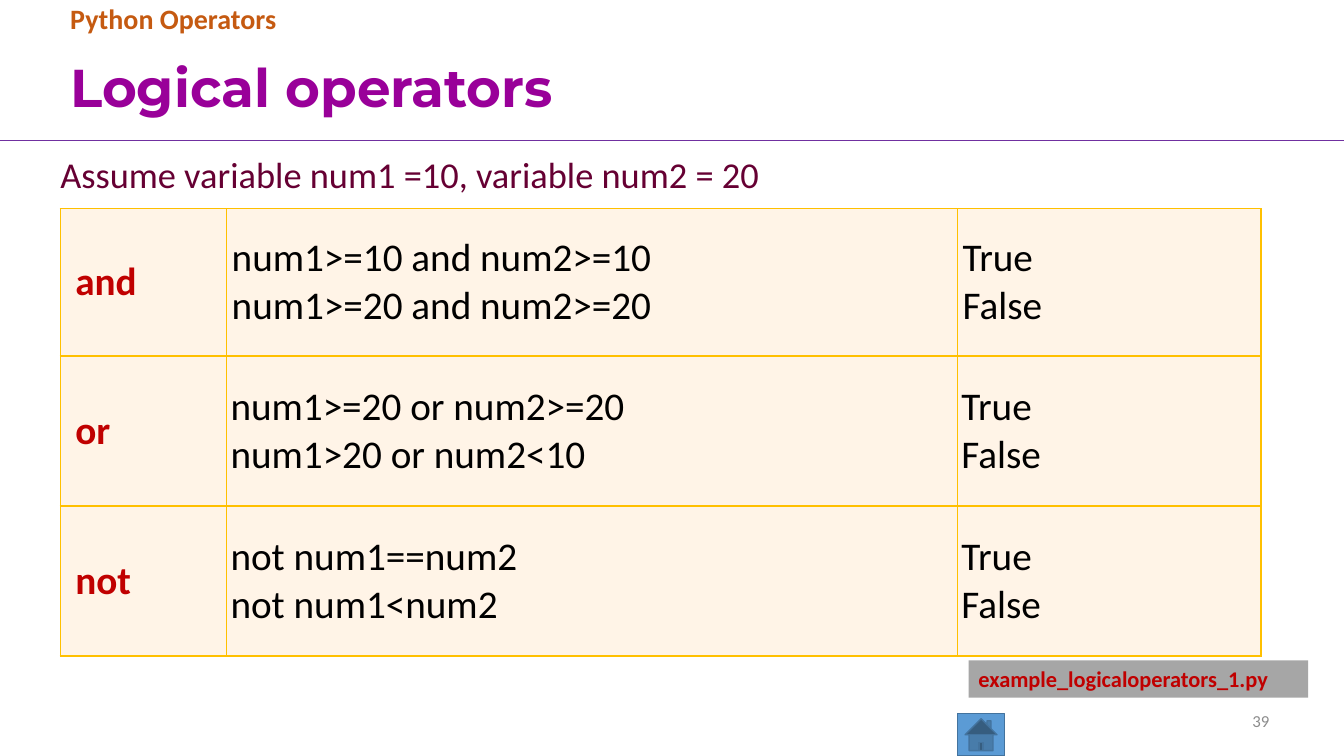
from dataclasses import dataclass
from typing import Optional

from lxml import etree
from pptx import Presentation
from pptx.dml.color import RGBColor
from pptx.enum.shapes import MSO_CONNECTOR, MSO_SHAPE
from pptx.enum.text import MSO_ANCHOR, PP_ALIGN
from pptx.oxml.ns import qn
from pptx.util import Cm, Pt

STRAIGHT = MSO_CONNECTOR.STRAIGHT
HOME_BUTTON, RECTANGLE = MSO_SHAPE.ACTION_BUTTON_HOME, MSO_SHAPE.RECTANGLE
TOP, MIDDLE = MSO_ANCHOR.TOP, MSO_ANCHOR.MIDDLE
LEFT, RIGHT = PP_ALIGN.LEFT, PP_ALIGN.RIGHT

BLACK = RGBColor(0x00, 0x00, 0x00)
MAGENTA = RGBColor(0x99, 0x00, 0x99)
PURPLE = RGBColor(0x70, 0x30, 0xA0)
PLUM = RGBColor(0x66, 0x00, 0x33)
ORANGE = RGBColor(0xC5, 0x5A, 0x11)
RED = RGBColor(0xC0, 0x00, 0x00)
GOLD = RGBColor(0xFF, 0xC0, 0x00)
CREAM = RGBColor(0xFF, 0xF4, 0xE7)
GRAY = RGBColor(0xA6, 0xA6, 0xA6)
NUMBER_GRAY = RGBColor(0x8C, 0x8C, 0x8C)
BLUE = RGBColor(0x5B, 0x9B, 0xD5)
DARK_BLUE = RGBColor(0x43, 0x73, 0x9E)

PAGE_WIDTH, PAGE_HEIGHT = 33.87, 19.05
COLUMN_WIDTHS = (4.19, 18.42, 7.65)


@dataclass(frozen=True)
class Label:
    text: str
    area: tuple[float, float, float, float]
    size: float
    color: RGBColor
    bold: bool = False
    font: str = "Calibri"
    align: PP_ALIGN = LEFT
    anchor: MSO_ANCHOR = TOP
    line_spacing: float = 1.0
    wrap: bool = True
    fill: Optional[RGBColor] = None


@dataclass(frozen=True)
class Operator:
    name: str
    examples: str
    results: str
    height: float
    margins: tuple[float, float]  # horizontal and vertical, for examples and results


LABELS = (
    Label("Logical operators", (1.52, 1.04, 30.71, 2.46), 38, MAGENTA, bold=True,
          font="Montserrat", anchor=MIDDLE, line_spacing=0.9),
    Label("39", (23.93, 17.65, 8.31, 1.02), 12, NUMBER_GRAY, align=RIGHT, anchor=MIDDLE),
    Label("Python Operators", (1.52, 0, 26.26, 1.04), 20, ORANGE, bold=True, line_spacing=0.9),
    Label("Assume variable num1 =10, variable num2 = 20", (1.27, 3.71, 18.29, 1.37), 26, PLUM,
          wrap=False),
    Label("example_logicaloperators_1.py", (24.41, 16.64, 8.56, 0.94), 16, RED, bold=True,
          fill=GRAY),
)

OPERATORS = (
    Operator("and", "num1>=10 and num2>=10\nnum1>=20 and num2>=20", "True\nFalse", 3.71,
             (0.13, 0.05)),
    Operator("or", "num1>=20 or num2>=20\nnum1>20 or num2<10", "True\nFalse", 3.78, (0.1, 0.1)),
    Operator("not", "not num1==num2\nnot num1<num2", "True\nFalse", 3.78, (0.1, 0.1)),
)


def write_text(frame, text: str, *, size: float, color: RGBColor, bold: bool = False,
               font: str = "Calibri", align: PP_ALIGN = LEFT, line_spacing: float = 1.0) -> None:
    for index, line in enumerate(text.split("\n")):
        para = frame.add_paragraph() if index else frame.paragraphs[0]
        para.alignment = align
        para.line_spacing = line_spacing
        span = para.add_run()
        span.text = line
        span.font.name = font
        span.font.size = Pt(size)
        span.font.bold = bold
        span.font.color.rgb = color


def add_label(page, label: Label) -> None:
    area = [Cm(length) for length in label.area]
    if label.fill is None:
        box = page.shapes.add_textbox(*area)
    else:
        box = page.shapes.add_shape(RECTANGLE, *area)
        box.shadow.inherit = False
        box.fill.solid()
        box.fill.fore_color.rgb = label.fill
        box.line.fill.background()
    frame = box.text_frame
    frame.word_wrap = label.wrap
    frame.vertical_anchor = label.anchor
    write_text(frame, label.text, size=label.size, color=label.color, bold=label.bold,
               font=label.font, align=label.align, line_spacing=label.line_spacing)


def add_divider(page) -> None:
    line = page.shapes.add_connector(STRAIGHT, Cm(0), Cm(3.53), Cm(PAGE_WIDTH), Cm(3.53))
    line.line.color.rgb = PURPLE
    line.line.width = Pt(0.5)
    etree.SubElement(line._element.spPr, qn("a:effectLst"))


def add_home_button(page) -> None:
    button = page.shapes.add_shape(HOME_BUTTON, Cm(24.13), Cm(17.98), Cm(1.19), Cm(1.07))
    button.shadow.inherit = False
    button.fill.solid()
    button.fill.fore_color.rgb = BLUE
    button.line.color.rgb = DARK_BLUE
    button.line.width = Pt(1)


def add_borders(cell, color: RGBColor, width: float) -> None:
    properties = cell._tc.get_or_add_tcPr()
    for side in ("a:lnL", "a:lnR", "a:lnT", "a:lnB"):
        border = etree.SubElement(properties, qn(side), w=str(Pt(width)))
        fill = etree.SubElement(border, qn("a:solidFill"))
        etree.SubElement(fill, qn("a:srgbClr"), val=str(color))


def fill_cell(cell, text: str, *, color: RGBColor, bold: bool,
              margins: tuple[float, float]) -> None:
    horizontal, vertical = margins
    cell.margin_left = cell.margin_right = Cm(horizontal)
    cell.margin_top = cell.margin_bottom = Cm(vertical)
    cell.vertical_anchor = MIDDLE
    add_borders(cell, GOLD, 1)
    cell.fill.solid()
    cell.fill.fore_color.rgb = CREAM
    write_text(cell.text_frame, text, size=28, color=color, bold=bold)


def add_operator_table(page) -> None:
    height = sum(operator.height for operator in OPERATORS)
    table = page.shapes.add_table(len(OPERATORS), len(COLUMN_WIDTHS), Cm(1.52), Cm(5.26),
                                  Cm(sum(COLUMN_WIDTHS)), Cm(height)).table
    table.first_row = table.horz_banding = False
    for column, width in zip(table.columns, COLUMN_WIDTHS):
        column.width = Cm(width)
    for row, operator in zip(table.rows, OPERATORS):
        row.height = Cm(operator.height)
        name, examples, results = row.cells
        fill_cell(name, operator.name, color=RED, bold=True, margins=(0.38, 0.38))
        for cell, text in ((examples, operator.examples), (results, operator.results)):
            fill_cell(cell, text, color=BLACK, bold=False, margins=operator.margins)


def main() -> None:
    deck = Presentation()
    deck.slide_width, deck.slide_height = Cm(PAGE_WIDTH), Cm(PAGE_HEIGHT)
    page = deck.slides.add_slide(deck.slide_layouts[6])

    # Divider and navigation
    add_divider(page)
    add_home_button(page)

    # Table of operators
    add_operator_table(page)

    # Headings, page number and file name
    for label in LABELS:
        add_label(page, label)

    deck.save("out.pptx")


if __name__ == "__main__":
    main()
